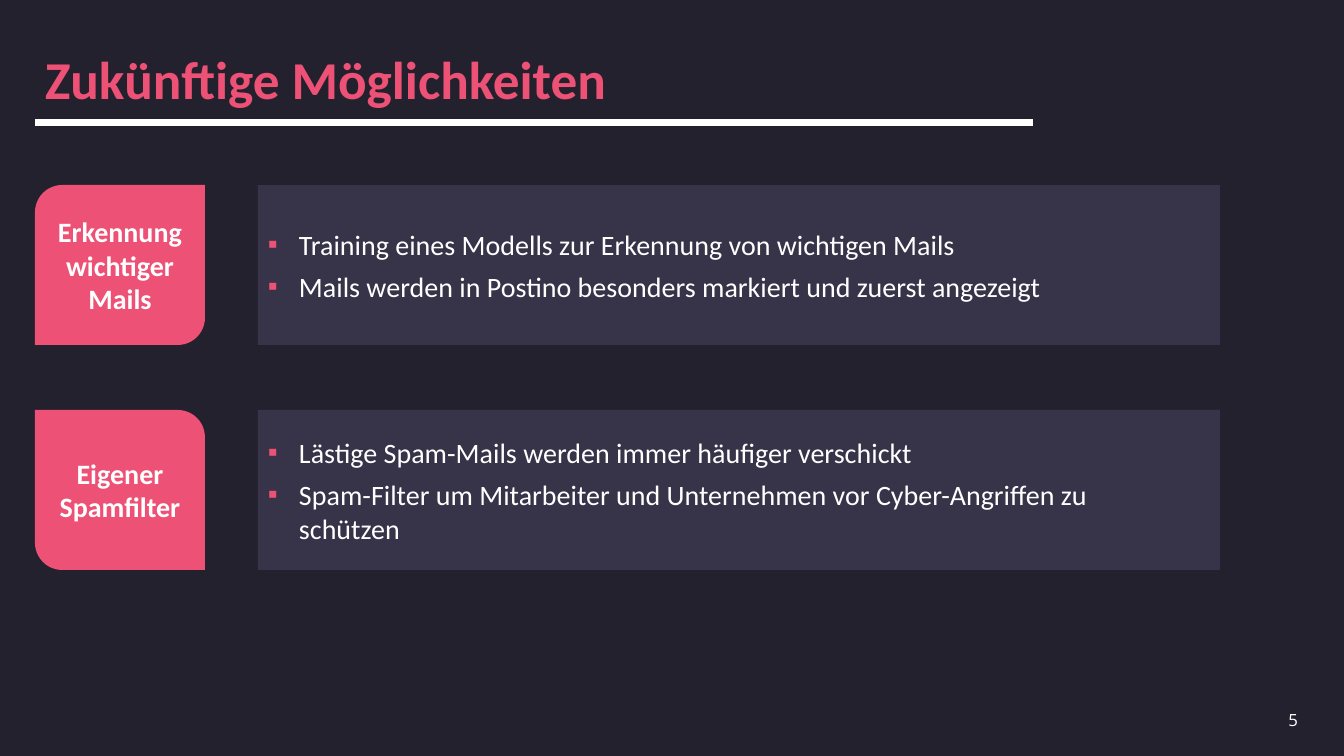
from dataclasses import dataclass

from lxml.etree import SubElement
from pptx import Presentation
from pptx.dml.color import RGBColor
from pptx.enum.shapes import MSO_CONNECTOR as CONNECTOR, MSO_SHAPE as SHAPE
from pptx.enum.text import MSO_ANCHOR as ANCHOR, MSO_AUTO_SIZE as AUTO_SIZE, PP_ALIGN as ALIGN
from pptx.oxml.ns import qn
from pptx.util import Pt

TITLE = "Zukünftige Möglichkeiten"
PAGE_NUMBER = "5"
TOPICS = [
    {
        "label": "Erkennung wichtiger Mails",
        "corners": (0.17, 0),
        "points": [
            "Training eines Modells zur Erkennung von wichtigen Mails",
            "Mails werden in Postino besonders markiert und zuerst angezeigt",
        ],
    },
    {
        "label": "Eigener Spamfilter",
        "corners": (0, 0.17),
        "points": [
            "Lästige Spam-Mails werden immer häufiger verschickt",
            "Spam-Filter um Mitarbeiter und Unternehmen vor Cyber-Angriffen zu\vschützen",
        ],
    },
]


@dataclass(frozen=True)
class Theme:
    background: RGBColor = RGBColor.from_string("24212F")
    panel: RGBColor = RGBColor.from_string("373348")
    accent: RGBColor = RGBColor.from_string("ED5175")
    light: RGBColor = RGBColor.from_string("FFFFFF")
    font: str = "Calibri"
    number_font: str = "Open Sans"
    title_size: int = 38
    text_size: int = 20
    number_size: int = 12


THEME = Theme()
LEFT = 35
ROW_TOP, ROW_HEIGHT, ROW_PITCH = 185, 160, 225
LABEL_WIDTH = 170
PANEL_LEFT, PANEL_WIDTH = 258, 962
BULLET_INDENT = 31


def px(length):
    return round(length * 914400 / 100.8)


def place(shape, left, top, width, height):
    shape.left, shape.top, shape.width, shape.height = map(px, (left, top, width, height))


def prepare_frame(shape):
    frame = shape.text_frame
    frame.word_wrap = True
    frame.auto_size = AUTO_SIZE.NONE
    frame.vertical_anchor = ANCHOR.MIDDLE
    frame.margin_left = frame.margin_right = px(10)
    frame.margin_top = frame.margin_bottom = px(5)
    return frame


def style(paragraph, size, color=THEME.light, bold=False, align=ALIGN.LEFT, name=THEME.font):
    paragraph.alignment = align
    paragraph.font.name = name
    paragraph.font.size = Pt(size)
    paragraph.font.bold = bold
    paragraph.font.color.rgb = color


def add_bullet(paragraph):
    properties = paragraph._p.get_or_add_pPr()
    properties.set("marL", str(px(BULLET_INDENT)))
    properties.set("indent", str(-px(BULLET_INDENT)))
    color = SubElement(properties, qn("a:buClr"))
    SubElement(color, qn("a:srgbClr"), val=str(THEME.accent))
    SubElement(properties, qn("a:buChar"), char="▪")


def add_title(slide):
    rule = slide.shapes.add_connector(CONNECTOR.STRAIGHT, px(LEFT), px(123), px(1033), px(123))
    rule.line.color.rgb = THEME.light
    rule.line.width = Pt(5)
    SubElement(rule._element.spPr, qn("a:effectLst"))
    title = slide.shapes.title
    place(title, LEFT, 36, 1272, 92)
    paragraph = prepare_frame(title).paragraphs[0]
    paragraph.text = TITLE
    paragraph.line_spacing = 0.9
    style(paragraph, THEME.title_size, THEME.accent, bold=True)


def add_label(slide, topic, top):
    label = slide.shapes.add_shape(
        SHAPE.ROUND_2_DIAG_RECTANGLE, px(LEFT), px(top), px(LABEL_WIDTH), px(ROW_HEIGHT)
    )
    label.adjustments[0], label.adjustments[1] = topic["corners"]
    label.shadow.inherit = False
    label.fill.solid()
    label.fill.fore_color.rgb = THEME.accent
    label.line.fill.background()
    paragraph = prepare_frame(label).paragraphs[0]
    paragraph.text = topic["label"]
    style(paragraph, THEME.text_size, bold=True, align=ALIGN.CENTER)


def fill_panel(panel, points, top):
    place(panel, PANEL_LEFT, top, PANEL_WIDTH, ROW_HEIGHT)
    panel.fill.solid()
    panel.fill.fore_color.rgb = THEME.panel
    frame = prepare_frame(panel)
    for index, point in enumerate(points):
        paragraph = frame.add_paragraph() if index else frame.paragraphs[0]
        paragraph.text = point
        paragraph.space_before = Pt(0)
        paragraph.space_after = Pt(6)
        add_bullet(paragraph)
        style(paragraph, THEME.text_size)


def add_page_number(slide):
    box = slide.shapes.add_textbox(px(1006), px(700), px(302), px(40))
    paragraph = prepare_frame(box).paragraphs[0]
    paragraph.text = PAGE_NUMBER
    style(paragraph, THEME.number_size, align=ALIGN.RIGHT, name=THEME.number_font)


def main():
    presentation = Presentation()
    presentation.slide_width, presentation.slide_height = px(1344), px(756)
    two_content = presentation.slide_layouts.get_by_name("Two Content")
    slide = presentation.slides.add_slide(two_content)
    slide.background.fill.solid()
    slide.background.fill.fore_color.rgb = THEME.background

    add_title(slide)
    for row, topic in enumerate(TOPICS):
        top = ROW_TOP + row * ROW_PITCH
        add_label(slide, topic, top)
        fill_panel(slide.placeholders[row + 1], topic["points"], top)
    add_page_number(slide)
    presentation.save("out.pptx")


if __name__ == "__main__":
    main()
